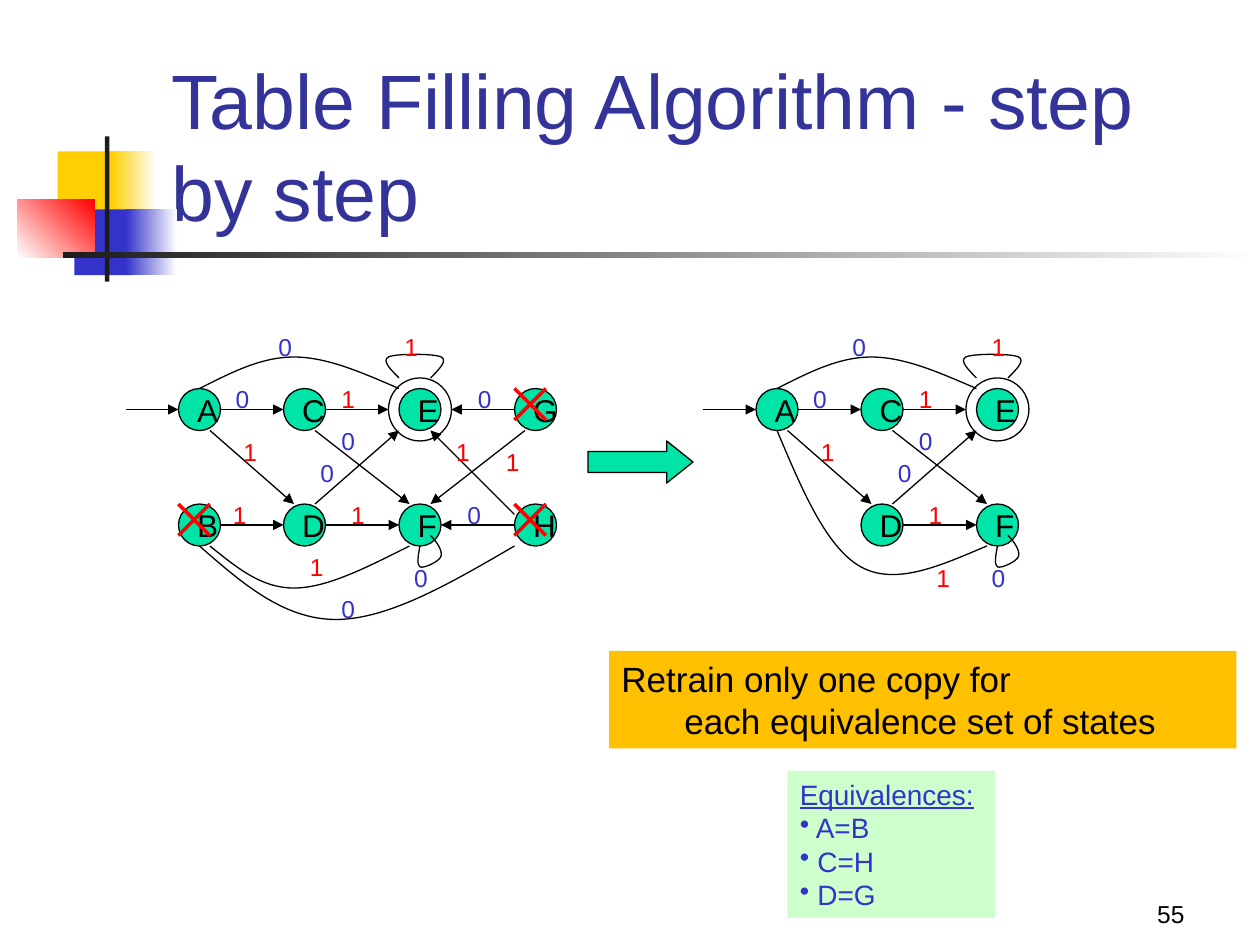
from lxml import etree
from pptx import Presentation
from pptx.dml.color import RGBColor
from pptx.enum.shapes import MSO_CONNECTOR, MSO_SHAPE
from pptx.enum.text import MSO_ANCHOR, MSO_AUTO_SIZE, PP_ALIGN
from pptx.oxml.ns import qn
from pptx.util import Pt

RECT, OVAL, ARROW = MSO_SHAPE.RECTANGLE, MSO_SHAPE.OVAL, MSO_SHAPE.RIGHT_ARROW
STRAIGHT = MSO_CONNECTOR.STRAIGHT
LEFT, CENTER, RIGHT = PP_ALIGN.LEFT, PP_ALIGN.CENTER, PP_ALIGN.RIGHT
TOP, MIDDLE, BOTTOM = MSO_ANCHOR.TOP, MSO_ANCHOR.MIDDLE, MSO_ANCHOR.BOTTOM
FIT_SHAPE, NO_FIT = MSO_AUTO_SIZE.SHAPE_TO_FIT_TEXT, MSO_AUTO_SIZE.NONE

BLACK = RGBColor(0x00, 0x00, 0x00)
WHITE = RGBColor(0xFF, 0xFF, 0xFF)
CHARCOAL = RGBColor(0x1C, 0x1C, 0x1C)
RED = RGBColor(0xFF, 0x00, 0x00)
BLUE = RGBColor(0x33, 0x33, 0xCC)
INDIGO = RGBColor(0x33, 0x33, 0x99)
YELLOW = RGBColor(0xFF, 0xCF, 0x01)
AMBER = RGBColor(0xFF, 0xC0, 0x00)
GREEN = RGBColor(0x00, 0xE4, 0xA8)
PALE_GREEN = RGBColor(0xCC, 0xFF, 0xCC)
SYMBOL_COLORS = {"0": BLUE, "1": RED}

# Automaton geometry in points, relative to the top left of its box
STATE_SIZE = 24
STATES = {"A": (30, 36), "C": (90, 36), "E": (156, 36), "G": (222, 36),
          "B": (30, 102), "D": (90, 102), "F": (156, 102), "H": (222, 102)}
SHARED_ARROWS = [
    (0, 48, 30, 48), (54, 48, 90, 48), (114, 48, 150, 48),
    (114, 114, 156, 114), (48, 60, 96, 102), (108, 102, 156, 60),
    (108, 60, 162, 102)]
FULL_ARROWS = SHARED_ARROWS + [
    (222, 48, 186, 48), (54, 114, 90, 114), (222, 114, 180, 114),
    (228, 60, 174, 102), (222, 108, 174, 60)]
# Each curve: a start point, then three Bezier points per segment
SHARED_CURVES = [
    [(156, 36), (135, 27), (115, 18), (96, 18), (77, 18), (60, 27), (42, 36)],
    [(156, 30), (151, 25), (146, 20), (150, 18), (154, 16), (176, 16),
     (180, 18), (184, 20), (179, 25), (174, 30)],
    [(174, 120), (178, 124), (181, 129), (180, 132), (179, 135), (170, 139),
     (168, 138), (166, 137), (167, 131), (168, 126)]]
FULL_CURVES = SHARED_CURVES + [
    [(162, 126), (138, 138), (115, 150), (96, 150),
     (77, 150), (63, 138), (48, 126)],
    [(42, 126), (66, 147), (90, 168), (120, 168),
     (150, 168), (186, 147), (222, 126)]]
REDUCED_CURVES = SHARED_CURVES + [
    [(162, 126), (136, 137), (110, 149), (90, 138),
     (70, 127), (56, 93), (42, 60)]]
SHARED_LABELS = [
    ("0", 55.5, 30), ("1", 60, 60), ("1", 121.5, 96), ("0", 157.5, 132),
    ("0", 116, 54), ("0", 104, 72), ("1", 116, 30)]
FULL_LABELS = SHARED_LABELS + [
    ("1", 54, 96), ("1", 98, 126), ("1", 210, 66), ("1", 181.5, 60),
    ("1", 152, 0), ("0", 80, 0), ("0", 116, 150), ("0", 188, 96),
    ("0", 194, 30)]
REDUCED_LABELS = SHARED_LABELS + [
    ("1", 157.5, 0), ("0", 78, 0), ("1", 126, 132)]


def add_block(shapes, kind, box, fill=None, outline=None):
    block = shapes.add_shape(kind, *map(Pt, box))
    block.shadow.inherit = False
    if fill is None:
        block.fill.background()
    else:
        block.fill.solid()
        block.fill.fore_color.rgb = fill
    if outline is None:
        block.line.fill.background()
    else:
        block.line.color.rgb = outline
        block.line.width = Pt(0.75)
    return block


def add_fade(shapes, box, start, end, angle=0):
    fill = add_block(shapes, RECT, box).fill
    fill.gradient()
    fill.gradient_angle = angle
    for stop, color in zip(fill.gradient_stops, (start, end)):
        stop.color.rgb = color


def write(frame, lines, size, color, align=LEFT, anchor=TOP, wrap=True, fit=NO_FIT):
    frame.text = "\n".join(lines)
    frame.word_wrap, frame.auto_size = wrap, fit
    frame.vertical_anchor = anchor
    for paragraph in frame.paragraphs:
        paragraph.alignment = align
        paragraph.font.name = "Arial"
        paragraph.font.size = Pt(size)
        paragraph.font.color.rgb = color


def add_line(shapes, ends, color=BLACK, width=0.75, arrow=False):
    line = shapes.add_connector(STRAIGHT, *map(Pt, ends))
    line.line.color.rgb = color
    line.line.width = Pt(width)
    properties = line.element.spPr
    if arrow:
        etree.SubElement(properties.find(qn("a:ln")), qn("a:tailEnd"), type="triangle")
    etree.SubElement(properties, qn("a:effectLst"))


def add_curve(shapes, points):
    start, *rest = [(Pt(x), Pt(y)) for x, y in points]
    builder = shapes.build_freeform(*start)
    builder.add_line_segments(rest, close=False)
    curve = builder.convert_to_shape()
    curve.shadow.inherit = False
    curve.fill.background()
    curve.line.color.rgb = BLACK
    curve.line.width = Pt(0.75)
    # Turn every three straight segments into one Bezier segment
    outline = next(curve.element.iter(qn("a:path")))
    segments = outline.findall(qn("a:lnTo"))
    for first in range(0, len(segments), 3):
        bezier = etree.SubElement(outline, qn("a:cubicBezTo"))
        for segment in segments[first:first + 3]:
            bezier.append(segment[0])
            outline.remove(segment)


def draw_backdrop(shapes):
    add_block(shapes, RECT, (33, 86.5, 34.5, 37.5), YELLOW)
    add_fade(shapes, (63.5, 86.5, 26, 37.5), YELLOW, WHITE)
    add_block(shapes, RECT, (42.5, 119.7, 33, 37.5), BLUE)
    add_fade(shapes, (72, 119.7, 29, 37.5), BLUE, WHITE)
    add_fade(shapes, (10, 114, 44, 33), WHITE, RED, 45)
    add_block(shapes, RECT, (60, 78, 2.5, 83), CHARCOAL)
    add_fade(shapes, (36, 144, 684, 3.5), CHARCOAL, WHITE)


def draw_title(title, box):
    title.left, title.top, title.width, title.height = map(Pt, box)
    write(title.text_frame, ["Table Filling Algorithm - step by step"], 44, INDIGO,
          anchor=BOTTOM)


def draw_automaton(shapes, left, top, states, arrows, curves, labels, removed=""):
    for name in states:
        x, y = STATES[name]
        state = add_block(shapes, OVAL, (left + x, top + y, STATE_SIZE, STATE_SIZE),
                          GREEN, BLACK)
        write(state.text_frame, [name], 18, BLACK, CENTER, MIDDLE)
    # Outer ring of the accepting state
    add_block(shapes, OVAL, (left + 150, top + 30, 36, 36), outline=BLACK)
    for x1, y1, x2, y2 in arrows:
        add_line(shapes, (left + x1, top + y1, left + x2, top + y2), arrow=True)
    for points in curves:
        add_curve(shapes, [(left + x, top + y) for x, y in points])
    for symbol, x, y in labels:
        label = shapes.add_textbox(Pt(left + x), Pt(top + y), Pt(22.2), Pt(24))
        write(label.text_frame, [symbol], 14, SYMBOL_COLORS[symbol],
              wrap=False, fit=FIT_SHAPE)
    # Crosses over the removed states
    for name in removed:
        x, y = left + STATES[name][0], top + STATES[name][1]
        cross = shapes.add_group_shape().shapes
        add_line(cross, (x, y, x + 18, y + 18), RED, 2)
        add_line(cross, (x, y + 18, x + 18, y), RED, 2)


def draw_equivalences(shapes, box):
    panel = add_block(shapes, RECT, box, PALE_GREEN)
    write(panel.text_frame, ["Equivalences: ", " A=B", " C=H", " D=G"], 16, BLUE,
          fit=FIT_SHAPE)
    heading, *pairs = panel.text_frame.paragraphs
    heading.runs[0].text = "Equivalences:"
    heading.runs[0].font.underline = True
    heading.add_run().text = " "
    for pair in pairs:
        properties = pair._p.get_or_add_pPr()
        properties.set("marL", "0")
        properties.set("indent", str(-Pt(8)))
        bullet = etree.Element(qn("a:buChar"), char="•")
        properties.insert(0, bullet)


def draw_advice(shapes, box):
    panel = add_block(shapes, RECT, box, AMBER)
    write(panel.text_frame, ["Retrain only one copy for \v\teach equivalence set of states"],
          20, BLACK, fit=FIT_SHAPE)


def main():
    deck = Presentation()
    deck.slide_width, deck.slide_height = Pt(720), Pt(540)
    slide = deck.slides.add_slide(deck.slide_layouts[5])
    shapes = slide.shapes
    draw_backdrop(shapes)
    draw_title(shapes.title, (90.7, 49, 613.4, 90))
    # Full automaton, then the reduced one
    draw_automaton(shapes, 72, 186, "ACEGBDFH", FULL_ARROWS, FULL_CURVES, FULL_LABELS, "BHG")
    draw_automaton(shapes, 402, 186, "ACEDF", SHARED_ARROWS, REDUCED_CURVES, REDUCED_LABELS)
    step = add_block(shapes, ARROW, (336, 252, 60, 24), GREEN, BLACK)
    step.adjustments[0], step.adjustments[1] = 0.5, 0.625
    draw_equivalences(shapes, (450, 440.5, 118.5, 84))
    draw_advice(shapes, (348, 372, 358.5, 55.7))
    # Slide number
    number = shapes.add_textbox(Pt(534), Pt(498), Pt(150), Pt(36))
    write(number.text_frame, ["55"], 14, BLACK, RIGHT, BOTTOM)
    deck.save("out.pptx")


if __name__ == "__main__":
    main()
